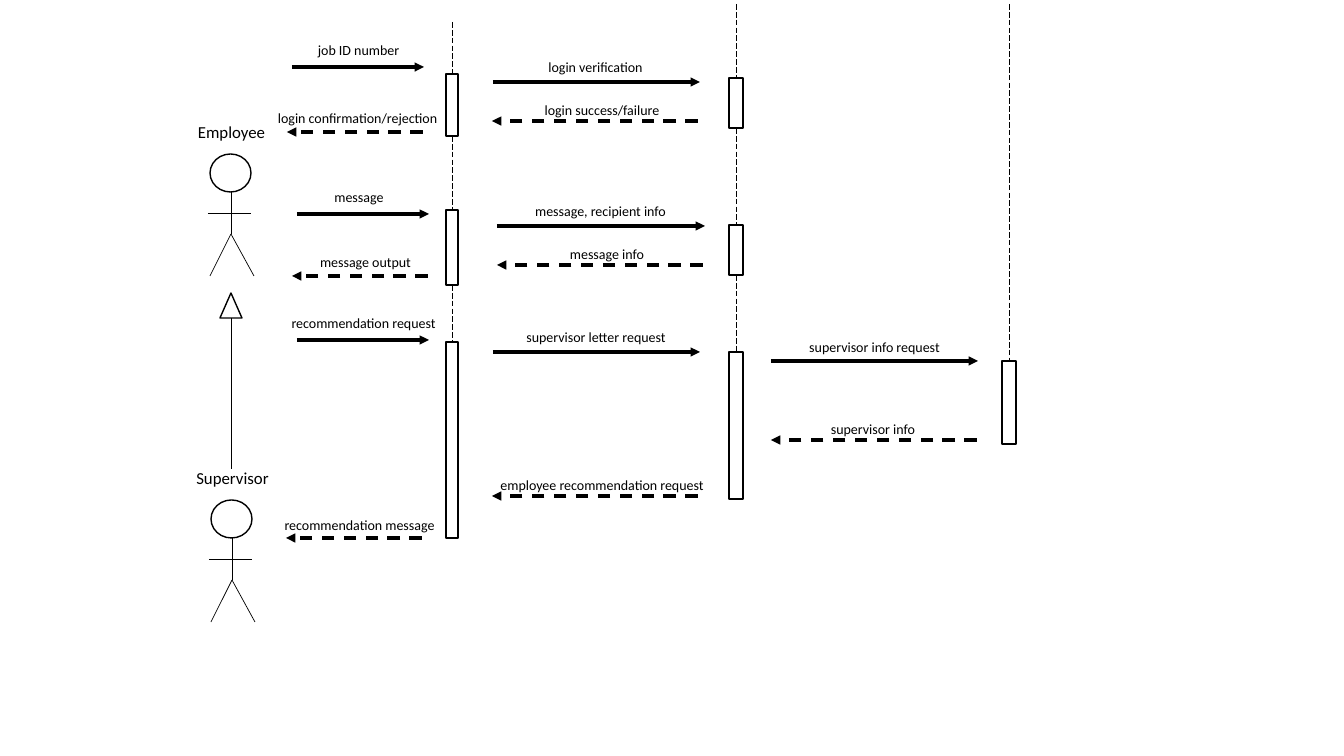
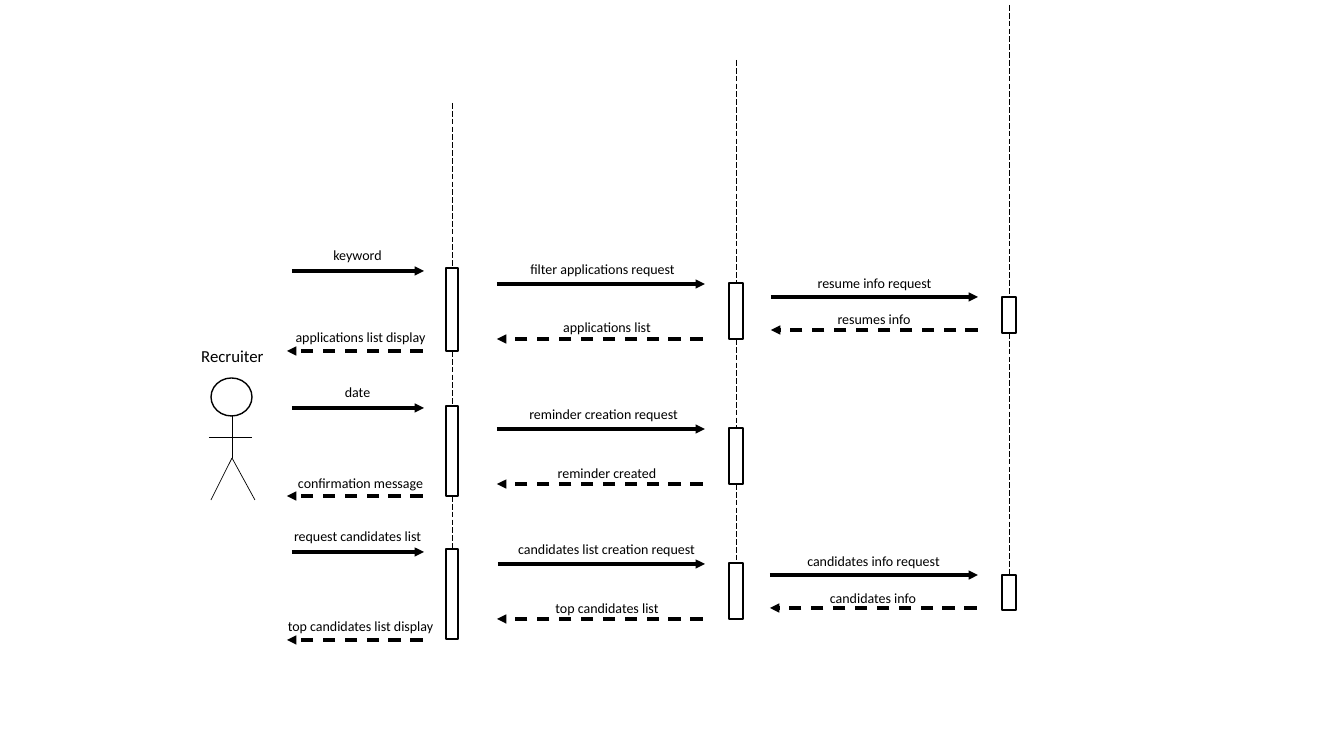
from lxml import etree
from pptx import Presentation
from pptx import util as u
from pptx.dml.color import RGBColor
from pptx.enum import dml, shapes, text
from pptx.oxml import ns

PX = 914400 / 100.8
FONT = "Calibri"
INK, PAPER = "000000", "FFFFFF"
THIN, OUTLINE, HEAVY = 0.5, 1, 2.25

# Lifelines: centre x and activation bar width of each lane
LANES = [(452, 12), (736, 14), (1009, 14)]

# Messages: label, start x, end x, y, then left, top and width of the label
EMPLOYEE_MESSAGES = [
    ("job ID number", 292, 424, 67, 273, 37, 171),
    ("login verification", 493, 700, 82, 517, 54, 157),
    ("login success/failure", 698, 492, 121, 486, 97, 232),
    ("login confirmation/rejection", 423, 287, 132, 266, 105, 183),
    ("message", 297, 429, 214, 284, 184, 150),
    ("message, recipient info", 497, 705, 226, 522, 198, 157),
    ("message info", 703, 497, 265, 491, 241, 232),
    ("message output", 428, 292, 276, 278, 249, 175),
    ("recommendation request", 297, 429, 340, 278, 310, 171),
    ("supervisor letter request", 493, 700, 352, 515, 324, 162),
    ("supervisor info request", 771, 978, 361, 796, 334, 157),
    ("supervisor info", 977, 771, 440, 783, 416, 180),
    ("employee recommendation request", 698, 492, 496, 486, 472, 232),
    ("recommendation message", 422, 286, 538, 272, 512, 175),
]
RECRUITER_MESSAGES = [
    ("keyword", 292, 424, 271, 272, 242, 171),
    ("filter applications request", 497, 705, 284, 515, 256, 175),
    ("resume info request", 771, 978, 297, 792, 270, 165),
    ("resumes info", 978, 771, 330, 784, 306, 180),
    ("applications list", 703, 497, 339, 491, 314, 232),
    ("applications list display", 423, 287, 351, 273, 324, 175),
    ("date", 292, 424, 408, 272, 379, 171),
    ("reminder creation request", 497, 705, 429, 516, 401, 175),
    ("reminder created", 703, 497, 484, 491, 460, 232),
    ("confirmation message", 423, 287, 496, 273, 470, 175),
    ("request candidates list", 292, 424, 552, 272, 523, 171),
    ("candidates list creation request", 498, 705, 564, 503, 536, 207),
    ("candidates info request", 770, 978, 575, 791, 548, 165),
    ("candidates info", 977, 770, 608, 783, 585, 180),
    ("top candidates list", 703, 497, 619, 491, 595, 232),
    ("top candidates list display", 423, 287, 640, 273, 613, 175),
]

# Lifelines: start y, then top and bottom of each activation, lane by lane
EMPLOYEE_LIFELINES = [
    (22, [(74, 136), (210, 285), (342, 538)]),
    (4, [(78, 128), (225, 275), (352, 499)]),
    (4, [(361, 444)]),
]
RECRUITER_LIFELINES = [
    (103, [(268, 351), (406, 496), (549, 639)]),
    (60, [(283, 339), (428, 484), (563, 619)]),
    (5, [(297, 333), (575, 610)]),
]


def px(*lengths):
    return [u.Emu(round(length * PX)) for length in lengths]


def color(value):
    return RGBColor.from_string(value)


# Basic elements
def add_text(slide, words, left, top, width, height=27, size=10, ink=INK,
             align=text.PP_ALIGN.CENTER):
    frame = slide.shapes.add_textbox(*px(left, top, width, height)).text_frame
    frame.word_wrap = True
    frame.auto_size = text.MSO_AUTO_SIZE.SHAPE_TO_FIT_TEXT
    paragraph = frame.paragraphs[0]
    paragraph.alignment = align
    run = paragraph.add_run()
    run.text = words
    run.font.name, run.font.size = FONT, u.Pt(size)
    run.font.color.rgb = color(ink)


def add_outline(slide, preset, left, top, width, height):
    shape = slide.shapes.add_shape(preset, *px(left, top, width, height))
    shape.shadow.inherit = False
    shape.fill.solid()
    shape.fill.fore_color.rgb = color(PAPER)
    shape.line.color.rgb = color(INK)
    shape.line.width = u.Pt(OUTLINE)


def add_line(slide, x1, y1, x2, y2, weight=THIN, dash=None, arrow=False):
    connector = slide.shapes.add_connector(
        shapes.MSO_CONNECTOR.STRAIGHT, *px(x1, y1, x2, y2))
    connector.line.color.rgb = color(INK)
    connector.line.width = u.Pt(weight)
    if dash:
        connector.line.dash_style = dash
    properties = connector._element.spPr
    if arrow:
        stroke = properties.find(ns.qn("a:ln"))
        etree.SubElement(stroke, ns.qn("a:tailEnd"), type="triangle")
    etree.SubElement(properties, ns.qn("a:effectLst"))


# Parts of a sequence diagram
def add_actor(slide, name, x, top):
    """Stick figure with its head starting at top and its body at x."""
    add_text(slide, name, x - 60, top - 37, 121, height=30, size=12)
    add_outline(slide, shapes.MSO_SHAPE.OVAL, x - 21, top, 41, 38)
    hip, foot = top + 80, top + 122
    add_line(slide, x, top + 38, x, hip)
    add_line(slide, x - 23, top + 59, x + 20, top + 59)
    for foot_x in (x - 21, x + 23):
        add_line(slide, foot_x, foot, x, hip)


def add_lifeline(slide, lane, start, activations):
    x, width = lane
    for top, bottom in activations:
        add_line(slide, x, start, x, top, dash=dml.MSO_LINE.LONG_DASH)
        add_outline(slide, shapes.MSO_SHAPE.RECTANGLE,
                    x - width / 2, top, width, bottom - top)
        start = bottom


def add_message(slide, label, start, end, y, left, top, width):
    """Requests run right and are solid; replies run left and are dashed."""
    dash = dml.MSO_LINE.DASH if end < start else None
    add_line(slide, start, y, end, y, HEAVY, dash, arrow=True)
    add_text(slide, label, left, top, width)


def add_generalization(slide, x, child_y, parent_y):
    add_line(slide, x, child_y, x, parent_y + 25)
    add_outline(slide, shapes.MSO_SHAPE.ISOSCELES_TRIANGLE,
                x - 11, parent_y, 22, 25)


def add_diagram(deck, lifelines, messages):
    slide = deck.slides.add_slide(deck.slide_layouts[6])
    for lane, (start, activations) in zip(LANES, lifelines):
        add_lifeline(slide, lane, start, activations)
    for message in messages:
        add_message(slide, *message)
    return slide


def main():
    deck = Presentation()
    deck.slide_width, deck.slide_height = px(1344, 756)

    # Employee and supervisor
    employee = add_diagram(deck, EMPLOYEE_LIFELINES, EMPLOYEE_MESSAGES)
    add_actor(employee, "Employee", 231, 154)
    add_actor(employee, "Supervisor", 232, 500)
    add_generalization(employee, 231, 469, 293)

    # Recruiter
    recruiter = add_diagram(deck, RECRUITER_LIFELINES, RECRUITER_MESSAGES)
    add_actor(recruiter, "Recruiter", 232, 378)

    deck.save("out.pptx")


main()
